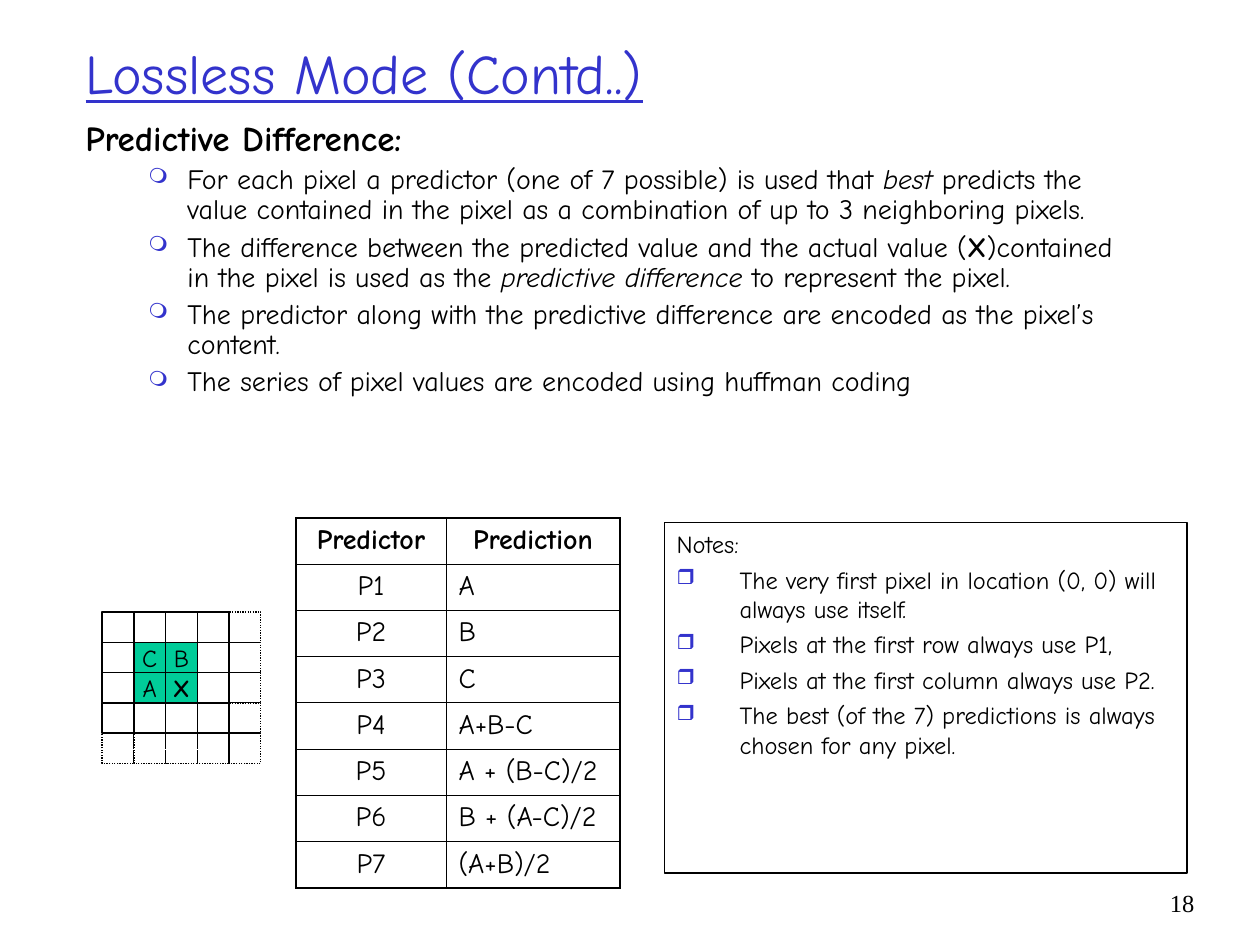
from lxml import etree
from pptx import Presentation
from pptx.dml.color import RGBColor
from pptx.enum import dml, shapes, text
from pptx.oxml import ns
from pptx.util import Cm, Pt

# Content: a paragraph is a list of (text, style) runs, style "b", "i" or ""
TITLE = "Lossless Mode (Contd..)"
HEADING = [("Predictive Difference:", "b")]
POINTS = [
    [("For each pixel a predictor (one of 7 possible) is used that ", ""),
     ("best", "i"),
     (" predicts the value contained in the pixel as a combination of up to "
      "3 neighboring pixels.", "")],
    [("The difference between the predicted value and the actual value (", ""),
     ("X", "b"),
     (")contained in the pixel is used as the ", ""),
     ("predictive difference ", "i"),
     ("to represent the pixel.", "")],
    [("The predictor along with the predictive difference are encoded as the "
      "pixel’s content.", "")],
    [("The series of pixel values are encoded using huffman coding", "")],
]
PREDICTORS = [
    ("Predictor", "Prediction"),
    ("P1", "A"),
    ("P2", "B"),
    ("P3", "C"),
    ("P4", "A+B-C"),
    ("P5", "A + (B-C)/2"),
    ("P6", "B + (A-C)/2"),
    ("P7", "(A+B)/2"),
]
NOTES = [
    "The very first pixel in location (0, 0) will always use itself.",
    "Pixels at the first row always use P1,",
    "Pixels at the first column always use P2.",
    "The best (of the 7) predictions is always chosen for any pixel.",
]
NEIGHBOURS = {(1, 1): "C", (1, 2): "B", (2, 1): "A", (2, 2): "X"}
GRID_SIZE = 5
PAGE = "18"

BLACK = RGBColor(0x00, 0x00, 0x00)
BLUE = RGBColor(0x33, 0x33, 0xCC)
GREEN = RGBColor(0x00, 0xCC, 0x99)
FONT = "Comic Neue"
THICK, THIN = Pt(1.08), Pt(0.45)


def add_run(p, content, size, style="", font=FONT, color=BLACK):
    r = p.add_run()
    r.text = content
    r.font.size, r.font.name, r.font.color.rgb = Pt(size), font, color
    r.font.bold, r.font.italic = "b" in style, "i" in style
    return r


def hang(p, indent, hanging, bullet=None, percent=100):
    """Set a hanging indent and, if given, a blue bullet."""
    pPr = p._p.get_or_add_pPr()
    pPr.set("marL", str(Cm(indent)))
    pPr.set("indent", str(-Cm(hanging)))
    if bullet:
        color = etree.SubElement(pPr, ns.qn("a:buClr"))
        etree.SubElement(color, ns.qn("a:srgbClr"), val=str(BLUE))
        etree.SubElement(pPr, ns.qn("a:buSzPct"), val=str(percent * 1000))
        etree.SubElement(pPr, ns.qn("a:buChar"), char=bullet)


def add_rect(s, left, top, width, height):
    sp = s.shapes.add_shape(shapes.MSO_SHAPE.RECTANGLE, left, top, width, height)
    sp.shadow.inherit = False
    sp.fill.background()
    sp.line.color.rgb, sp.line.width = BLACK, Pt(0.75)
    return sp


def add_text_box(s, left, top, width, height):
    tf = s.shapes.add_textbox(left, top, width, height).text_frame
    tf.word_wrap = True
    return tf


def set_borders(cell, widths):
    """Draw black borders; widths are left, right, top, bottom."""
    tcPr = cell._tc.get_or_add_tcPr()
    for i, (side, width) in enumerate(zip("LRTB", widths)):
        ln = etree.Element(ns.qn("a:ln" + side), w=str(width))
        fill = etree.SubElement(ln, ns.qn("a:solidFill"))
        etree.SubElement(fill, ns.qn("a:srgbClr"), val=str(BLACK))
        tcPr.insert(i, ln)


def add_title(s):
    title = s.shapes.title
    title.left, title.top, title.width, title.height = Cm(1.47), Cm(0.64), Cm(21.59), Cm(1.63)
    tf = title.text_frame
    tf.vertical_anchor = text.MSO_ANCHOR.MIDDLE
    p = tf.paragraphs[0]
    p.alignment = text.PP_ALIGN.LEFT
    add_run(p, TITLE, 32, color=BLUE).font.underline = True


def add_body(s):
    tf = add_text_box(s, Cm(1.47), Cm(2.31), Cm(21.59), Cm(7.8))
    for i, runs in enumerate([HEADING] + POINTS):
        p = tf.add_paragraph() if i else tf.paragraphs[0]
        if i:
            hang(p, 2.06, 0.79, "❍", 75)
            p.space_before = Pt(4)
        else:
            hang(p, 0.97, 0.97)
        p.line_spacing = 0.9
        for content, style in runs:
            add_run(p, content, 16 if i else 20, style)


def add_pixel_grid(s):
    width, height = Cm(0.64), Cm(0.61)
    for row in range(GRID_SIZE):
        for col in range(GRID_SIZE):
            sp = add_rect(s, Cm(2.06) + col * width, Cm(12.34) + row * height, width, height)
            if GRID_SIZE - 1 in (row, col):
                sp.line.dash_style = dml.MSO_LINE.ROUND_DOT
            letter = NEIGHBOURS.get((row, col))
            if letter:
                sp.fill.solid()
                sp.fill.fore_color.rgb = GREEN
                tf = sp.text_frame
                tf.word_wrap = False
                tf.vertical_anchor = text.MSO_ANCHOR.MIDDLE
                tf.paragraphs[0].alignment = text.PP_ALIGN.CENTER
                add_run(tf.paragraphs[0], letter, 14, "b" if letter == "X" else "")


def add_predictor_table(s):
    widths, row_height = (Cm(3.02), Cm(3.51)), Cm(0.93)
    last = len(PREDICTORS) - 1
    table = s.shapes.add_table(len(PREDICTORS), 2, Cm(5.97), Cm(10.44), sum(widths),
                               row_height * len(PREDICTORS)).table
    table.first_row = table.horz_banding = False
    for column, width in zip(table.columns, widths):
        column.width = width
    for r, values in enumerate(PREDICTORS):
        table.rows[r].height = row_height
        for c, value in enumerate(values):
            cell = table.cell(r, c)
            cell.fill.background()
            edges = (c == 0, c == 1, r == 0, r == last)
            set_borders(cell, [THICK if edge else THIN for edge in edges])
            p = cell.text_frame.paragraphs[0]
            centred = r == 0 or c == 0
            p.alignment = text.PP_ALIGN.CENTER if centred else text.PP_ALIGN.LEFT
            add_run(p, value, 16, "" if r else "b")


def add_notes_box(s):
    tf = add_rect(s, Cm(13.39), Cm(10.54), Cm(10.54), Cm(7.06)).text_frame
    tf.word_wrap = True
    tf.vertical_anchor = text.MSO_ANCHOR.TOP
    for i, content in enumerate(["Notes:"] + NOTES):
        p = tf.add_paragraph() if i else tf.paragraphs[0]
        hang(p, 1.27, 1.27, "❒" if i else None, 85)
        p.alignment = text.PP_ALIGN.LEFT
        if i:
            p.space_before = Pt(3.5)
        add_run(p, content, 14)


def add_page_number(s):
    p = add_text_box(s, Cm(23.06), Cm(17.78), Cm(1.27), Cm(1.27)).paragraphs[0]
    p.alignment = text.PP_ALIGN.RIGHT
    add_run(p, PAGE, 14, font="Times New Roman")


def main():
    prs = Presentation()
    prs.slide_width, prs.slide_height = Cm(25.4), Cm(19.05)
    s = prs.slides.add_slide(prs.slide_layouts[5])
    for add_part in (add_title, add_body, add_pixel_grid, add_predictor_table,
                     add_notes_box, add_page_number):
        add_part(s)
    prs.save("out.pptx")


if __name__ == "__main__":
    main()
